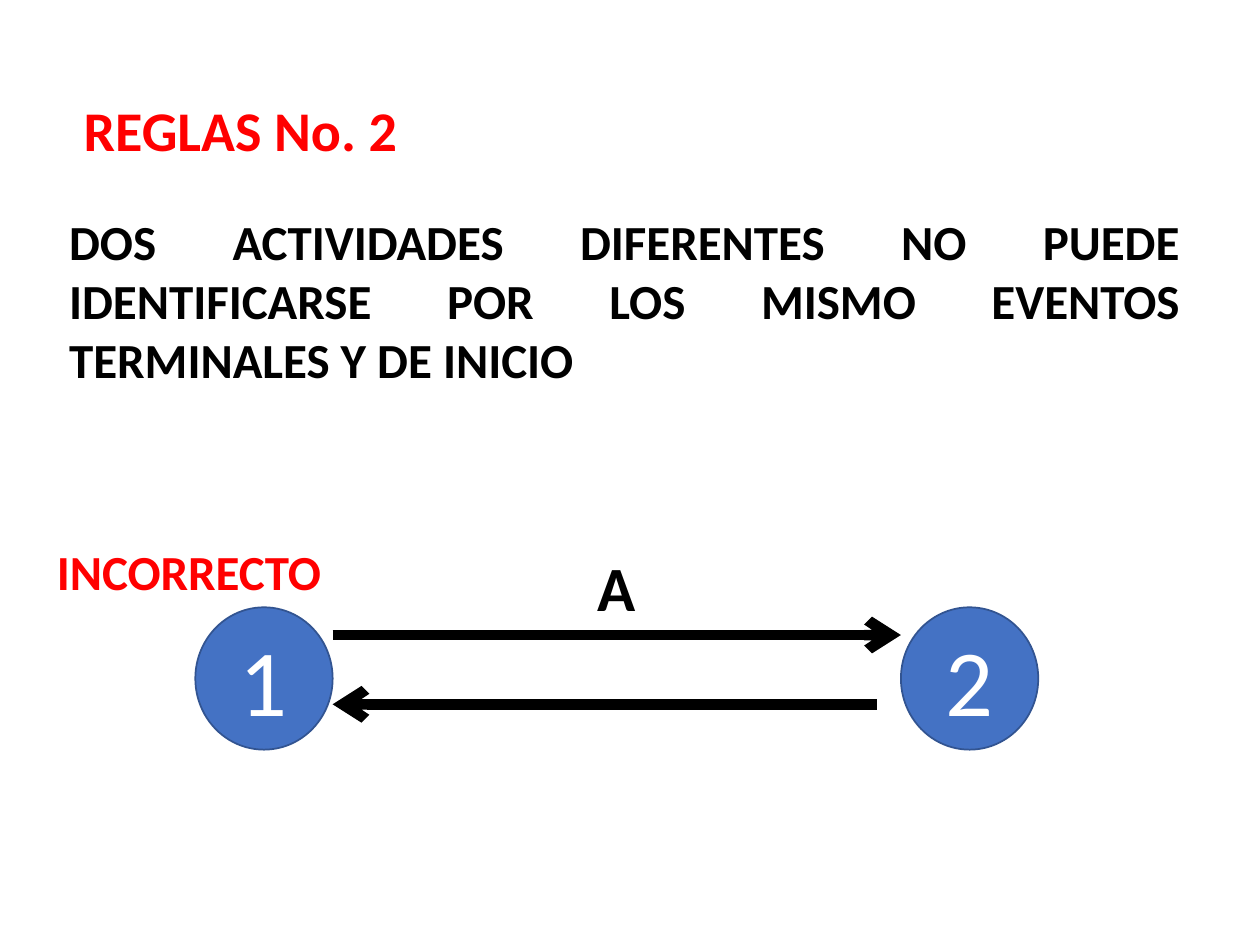
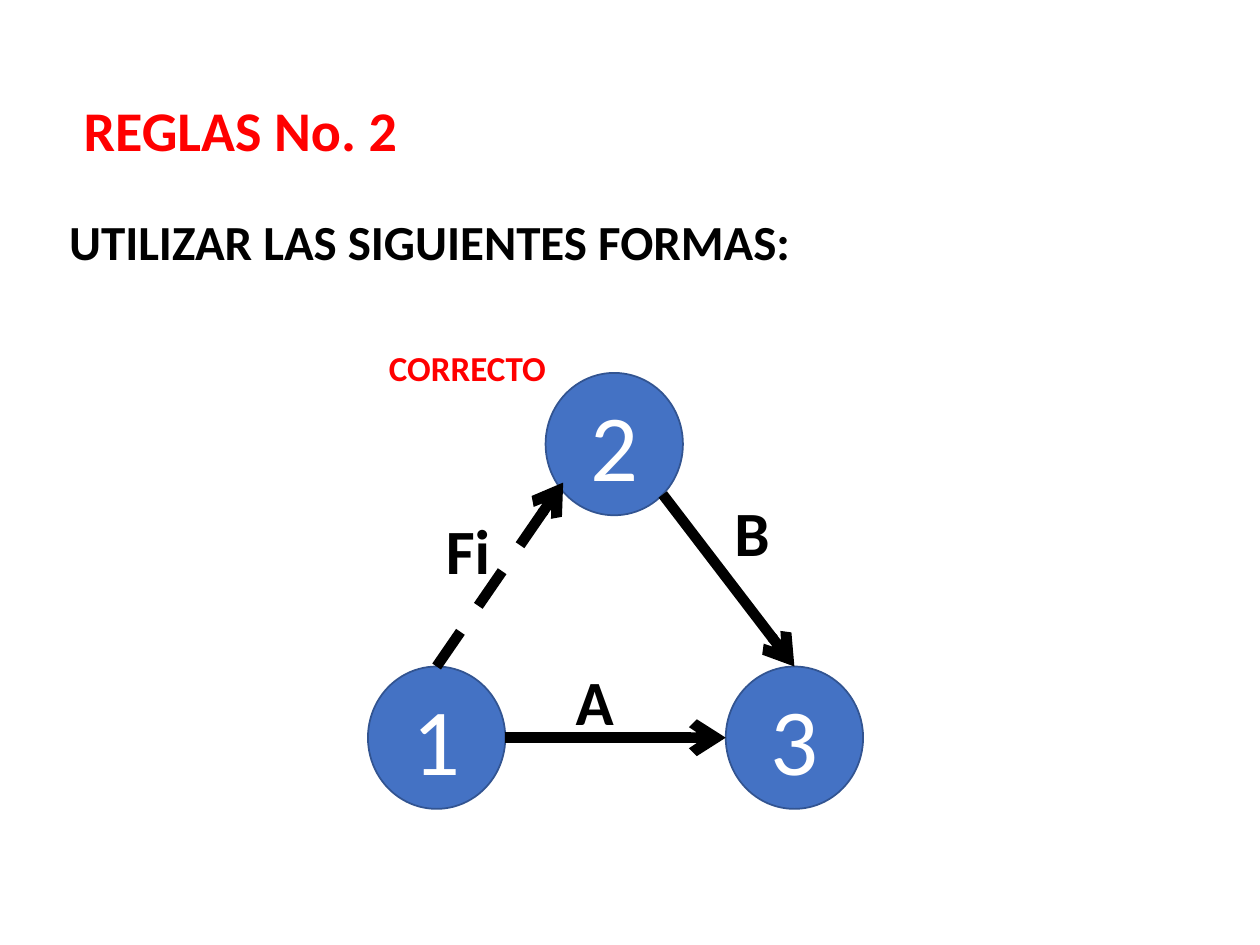
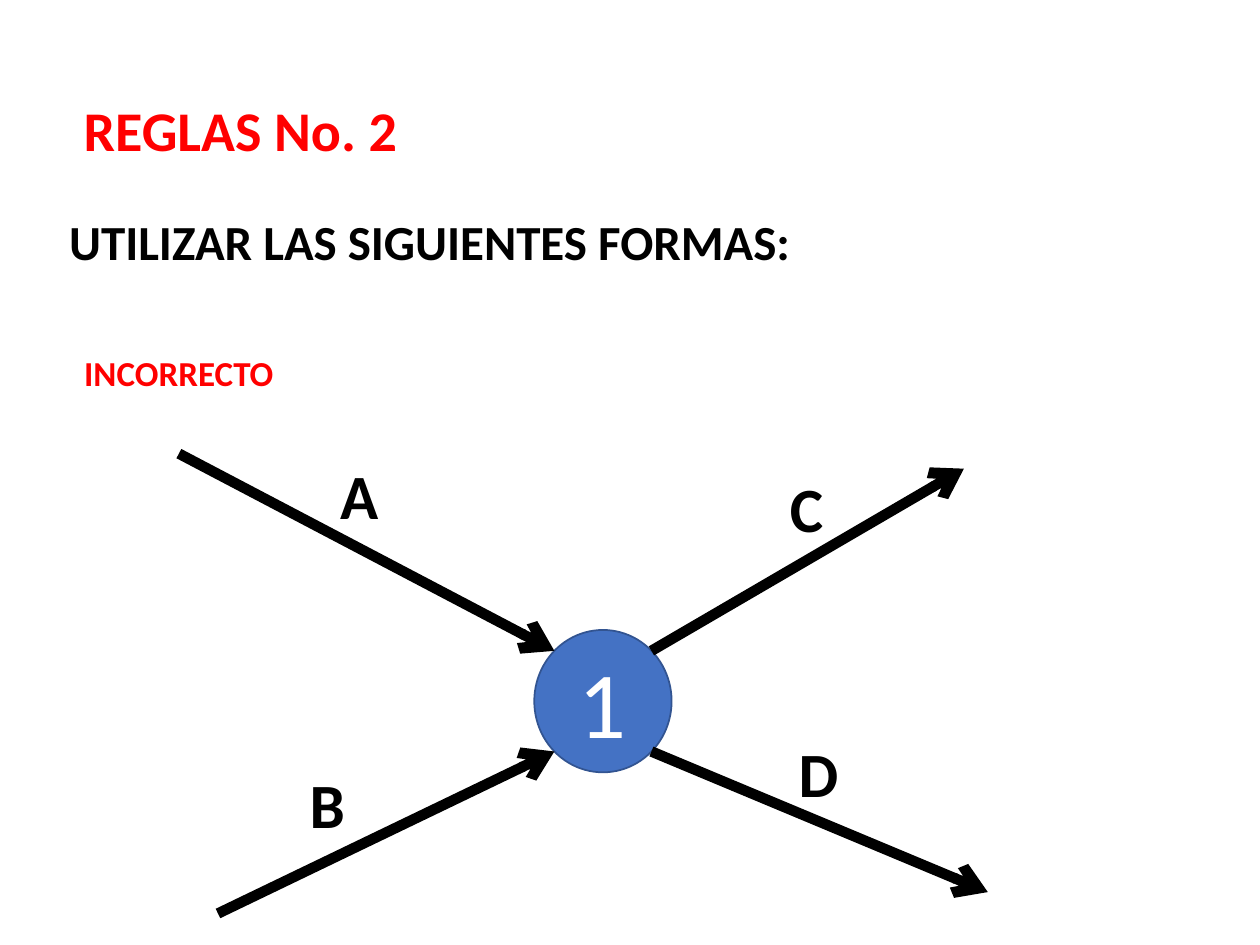
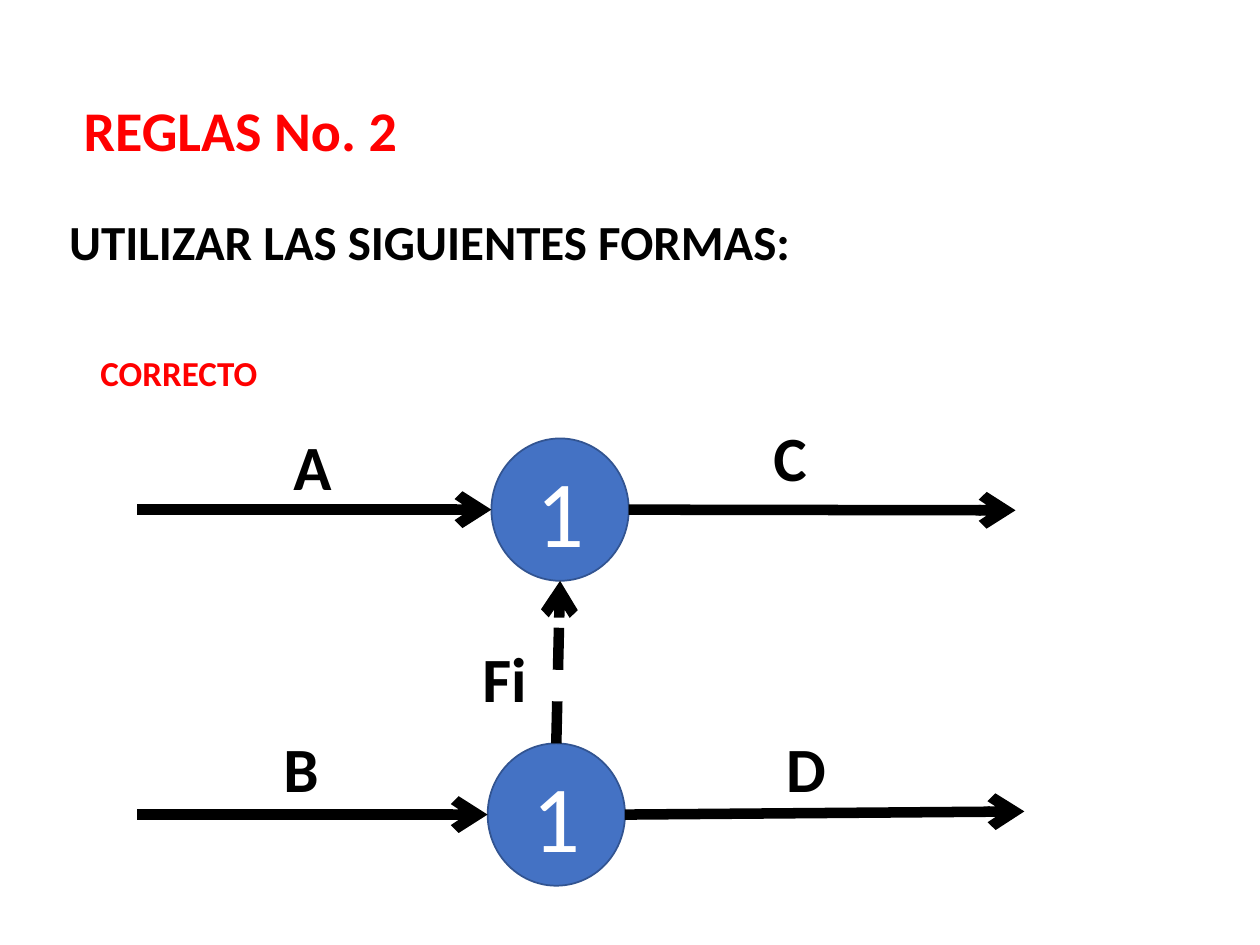
import math
from dataclasses import dataclass

from lxml import etree
from pptx import Presentation
from pptx.dml.color import RGBColor
from pptx.enum import dml, shapes, text
from pptx.oxml import ns
from pptx.util import Inches, Pt

RED = RGBColor(0xFF, 0x00, 0x00)
BLACK = RGBColor(0x00, 0x00, 0x00)
WHITE = RGBColor(0xFF, 0xFF, 0xFF)
NODE_FILL = RGBColor(0x44, 0x72, 0xC4)
NODE_LINE = RGBColor(0x32, 0x54, 0x91)
FONT = "Calibri"
NODE_WIDTH, NODE_HEIGHT = 1.09, 1.13
RIGHT, LOWER_RIGHT, BOTTOM, LOWER_LEFT = 0, 45, 90, 135
LEFT, UPPER_LEFT, TOP, UPPER_RIGHT = 180, 225, 270, 315
RULE_TITLE = "REGLAS No. 2"
FORMS_TEXT = "UTILIZAR LAS SIGUIENTES FORMAS:"


@dataclass
class Box:
    left: float
    top: float
    width: float
    height: float

    def point(self, x, y):
        return self.left + x, self.top + y

    def inner(self, x, y, width, height):
        return Box(*self.point(x, y), width, height)

    def rim(self, angle):
        turn = math.radians(angle)
        return self.point(self.width / 2 * (1 + math.cos(turn)),
                          self.height / 2 * (1 + math.sin(turn)))

    def lengths(self):
        return [Inches(v) for v in (self.left, self.top, self.width, self.height)]


TITLE_BOX = Box(0.41, 0.71, 3, 0.64)


def write(shape, words, size, color, bold=True, align=text.PP_ALIGN.LEFT,
          anchor=text.MSO_ANCHOR.TOP, wrap=True):
    frame = shape.text_frame
    frame.text = words
    frame.word_wrap = wrap
    frame.vertical_anchor = anchor
    para = frame.paragraphs[0]
    para.alignment = align
    para.font.name = FONT
    para.font.size = Pt(size)
    para.font.bold = bold
    para.font.color.rgb = color


def add_label(page, box, words, size, color, **style):
    label = page.shapes.add_textbox(*box.lengths())
    write(label, words, size, color, **style)
    label.text_frame.auto_size = text.MSO_AUTO_SIZE.SHAPE_TO_FIT_TEXT


def add_verdict(page, box, words, size=20, wrap=False):
    add_label(page, box, words, size, RED, align=text.PP_ALIGN.CENTER, wrap=wrap)


def add_activity(page, area, x, y, name, width=0.48, wrap=True):
    add_label(page, area.inner(x, y, width, 0.71), name, 36, BLACK, wrap=wrap)


def add_node(page, area, x, y, number):
    box = area.inner(x, y, NODE_WIDTH, NODE_HEIGHT)
    node = page.shapes.add_shape(shapes.MSO_SHAPE.OVAL, *box.lengths())
    node.shadow.inherit = False
    node.fill.solid()
    node.fill.fore_color.rgb = NODE_FILL
    node.line.color.rgb = NODE_LINE
    node.line.width = Pt(1)
    write(node, number, 54, WHITE, bold=False, align=text.PP_ALIGN.CENTER,
          anchor=text.MSO_ANCHOR.MIDDLE)
    return box


def add_arrow(page, start, end, dashed=False):
    arrow = page.shapes.add_connector(
        shapes.MSO_CONNECTOR.STRAIGHT, *[Inches(v) for v in (*start, *end)])
    arrow.line.color.rgb = BLACK
    arrow.line.width = Pt(6)
    if dashed:
        arrow.line.dash_style = dml.MSO_LINE.DASH
    properties = arrow._element.spPr
    outline = properties.find(ns.qn("a:ln"))
    etree.SubElement(outline, ns.qn("a:tailEnd"), type="arrow")
    etree.SubElement(properties, ns.qn("a:effectLst"))


def add_page(deck, statement, height=0.57):
    page = deck.slides.add_slide(deck.slide_layouts[5])
    title = page.shapes.title
    title.left, title.top, title.width, title.height = TITLE_BOX.lengths()
    write(title, RULE_TITLE, 32, RED, align=text.PP_ALIGN.CENTER)
    title.text_frame.auto_size = text.MSO_AUTO_SIZE.SHAPE_TO_FIT_TEXT
    add_label(page, Box(0.45, 1.63, 9.01, height), statement, 28, BLACK,
              align=text.PP_ALIGN.JUSTIFY)
    return page


def draw_round_trip(page, area):
    first = add_node(page, area, 0, 0.52, "1")
    second = add_node(page, area, area.width - NODE_WIDTH, 0.52, "2")
    add_arrow(page, first.point(NODE_WIDTH, 0.22), second.point(0, 0.22))
    add_arrow(page, second.point(-0.19, 0.77), first.point(NODE_WIDTH, 0.77))
    add_activity(page, area, 3.09, 0, "A", width=0.51, wrap=False)


def draw_triangle(page, area):
    base = area.height - NODE_HEIGHT
    second = add_node(page, area, 1.41, 0, "2")
    first = add_node(page, area, 0, base, "1")
    third = add_node(page, area, area.width - NODE_WIDTH, base, "3")
    add_arrow(page, first.rim(TOP), second.point(0.14, 0.87), dashed=True)
    add_arrow(page, first.rim(RIGHT), third.rim(LEFT))
    add_arrow(page, second.rim(LOWER_RIGHT), third.rim(TOP))
    add_activity(page, area, 0.52, 1.05, "Fi", width=0.56, wrap=False)
    add_activity(page, area, 1.55, 2.25, "A")
    add_activity(page, area, 2.81, 0.91, "B", width=0.84)


def draw_crossing(page, area):
    node = add_node(page, area, 2.82, 1.4, "1")
    add_arrow(page, area.point(0, 0), node.rim(UPPER_LEFT))
    add_arrow(page, area.point(0.31, 3.65), node.rim(LOWER_LEFT))
    add_arrow(page, node.rim(UPPER_RIGHT), area.point(6.23, 0.12))
    add_arrow(page, node.rim(LOWER_RIGHT), area.point(6.42, 3.48))
    for name, x, y in (("A", 1.18, -0.03), ("B", 0.94, 2.43),
                       ("C", 4.75, 0.08), ("D", 4.82, 2.18)):
        add_activity(page, area, x, y, name)


def draw_parallel_paths(page, area):
    upper = add_node(page, area, 2.81, 0, "1")
    lower = add_node(page, area, 2.78, area.height - NODE_HEIGHT, "1")
    for node, end in ((upper, area.point(6.97, 0.57)),
                      (lower, area.point(7.04, 2.96))):
        middle = node.rim(LEFT)[1]
        add_arrow(page, (area.left, middle), node.rim(LEFT))
        add_arrow(page, node.rim(RIGHT), end)
    add_arrow(page, lower.rim(TOP), upper.rim(BOTTOM), dashed=True)
    add_activity(page, area, 2.64, 1.55, "Fi", width=0.84)
    for name, x, y in (("A", 1.14, -0.14), ("B", 1.06, 2.26),
                       ("C", 4.95, -0.21), ("D", 5.05, 2.26)):
        add_activity(page, area, x, y, name)


deck = Presentation()
deck.slide_width, deck.slide_height = Inches(10), Inches(7.5)

page = add_page(deck, "DOS ACTIVIDADES DIFERENTES NO PUEDE IDENTIFICARSE POR LOS "
                "MISMO EVENTOS TERMINALES Y DE INICIO", 1.51)
draw_round_trip(page, Box(1.55, 4.3, 6.69, 1.65))
add_verdict(page, Box(0, 4.25, 3, 0.57), "INCORRECTO", size=28, wrap=True)

for draw, area, verdict, verdict_box in (
        (draw_triangle, Box(2.92, 2.96, 3.93, 3.46), "CORRECTO",
         Box(2.98, 2.7, 1.46, 0.44)),
        (draw_crossing, Box(1.42, 3.6, 6.42, 3.65), "INCORRECTO",
         Box(0.56, 2.74, 1.72, 0.44)),
        (draw_parallel_paths, Box(1.09, 3.48, 7.04, 3.55), "CORRECTO",
         Box(0.69, 2.74, 1.46, 0.44))):
    page = add_page(deck, FORMS_TEXT)
    draw(page, area)
    add_verdict(page, verdict_box, verdict)

deck.save("out.pptx")
